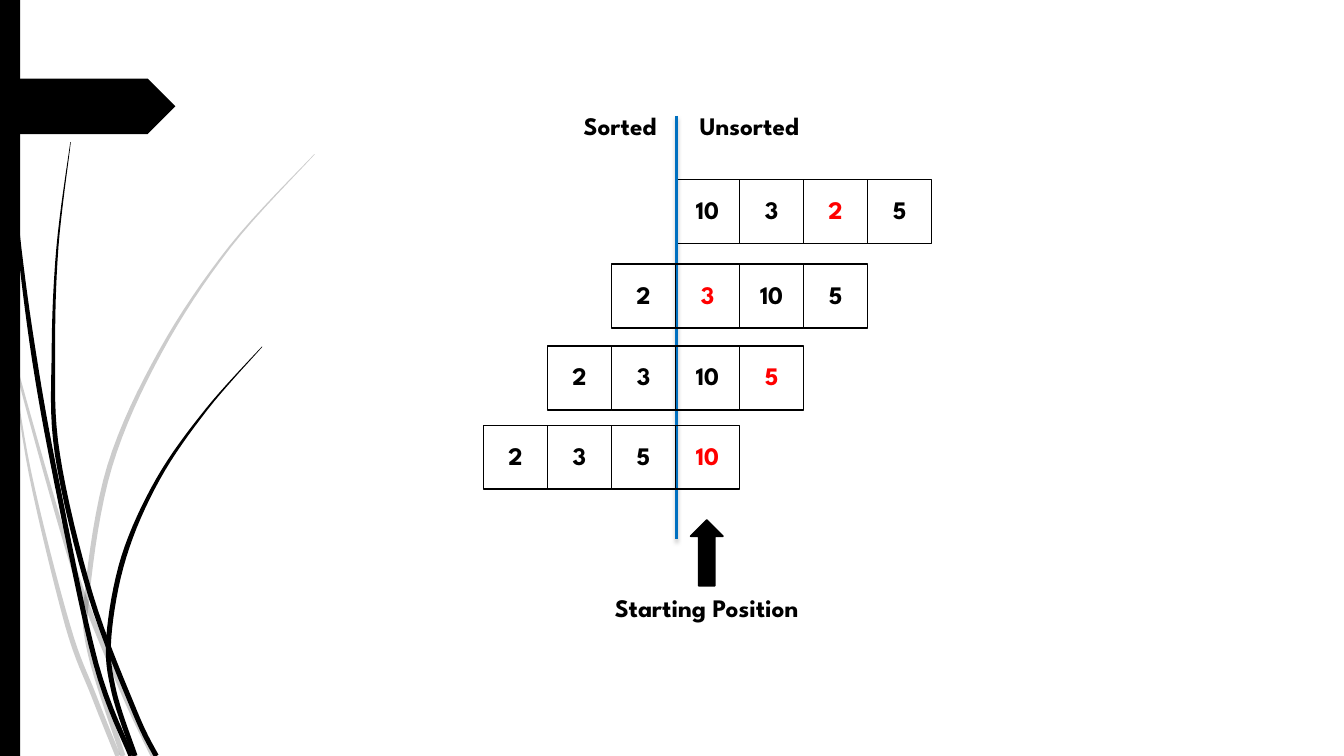
from dataclasses import dataclass
from math import hypot

from lxml import etree
from pptx import Presentation
from pptx.dml.color import RGBColor
from pptx.enum.shapes import MSO_CONNECTOR, MSO_SHAPE
from pptx.enum.text import MSO_AUTO_SIZE, PP_ALIGN
from pptx.oxml.ns import qn
from pptx.util import Inches, Pt

RECTANGLE, PENTAGON, UP_ARROW = MSO_SHAPE.RECTANGLE, MSO_SHAPE.PENTAGON, MSO_SHAPE.UP_ARROW
STRAIGHT = MSO_CONNECTOR.STRAIGHT
LEFT, CENTER = PP_ALIGN.LEFT, PP_ALIGN.CENTER
GROW = MSO_AUTO_SIZE.SHAPE_TO_FIT_TEXT


@dataclass(frozen=True)
class Theme:
    black: RGBColor = RGBColor(0x00, 0x00, 0x00)
    red: RGBColor = RGBColor(0xFF, 0x00, 0x00)
    blue: RGBColor = RGBColor(0x00, 0x70, 0xC0)
    white: RGBColor = RGBColor(0xFF, 0xFF, 0xFF)
    font: str = "League Spartan"
    text_size: int = 18
    outline: float = 1.25
    divider: float = 1.75
    pale_opacity: int = 20


# Wisps: points along the middle of each stroke, thin end first
PALE_WISPS = [
    [(0, 2.9), (0.15, 3.6), (0.6, 5.21), (0.87, 6.02), (1.25, 6.93), (1.52, 7.5)],
    [(0.11, 3.5), (0.3, 4.7), (0.67, 6.2), (0.93, 6.9), (1.17, 7.5)],
    [(3.12, 1.53), (2.28, 2.45), (1.59, 3.49), (1.09, 4.62), (0.87, 5.84), (0.89, 6.46), (1.22, 7.5)],
]
DARK_WISPS = [
    [(0.04, 0), (0.08, 1.1), (0.18, 2.33), (0.34, 3.55), (0.56, 4.77), (0.95, 6.58), (1.3, 7.5)],
    [(0.7, 1.41), (0.57, 2.45), (0.53, 3.49), (0.57, 4.51), (0.9, 5.91), (1.34, 7.07), (1.55, 7.5)],
    [(2.6, 3.44), (2.05, 4.06), (1.57, 4.75), (1.23, 5.52), (1.08, 6.32), (1.13, 6.86), (1.34, 7.5)],
]
WISP_WIDTH = 0.05

# Sorting steps: top of the row, values, index of the red value
STEPS = [(1.78, "10 3 2 5", 2), (2.62, "2 3 10 5", 1), (3.43, "2 3 10 5", 3), (4.22, "2 3 5 10", 3)]
FIRST_LEFT, CELL = 6.7, 0.635


def smooth_curve(knots, steps=8):
    """Sample a smooth curve through the knots."""
    padded = [knots[0], *knots, knots[-1]]
    points = [knots[0]]
    for a, b, c, d in zip(padded, padded[1:], padded[2:], padded[3:]):
        for t in (step / steps for step in range(1, steps + 1)):
            points.append(tuple(
                q + t / 2 * (r - p + t * (2 * p - 5 * q + 4 * r - s + t * (3 * (q - r) + s - p)))
                for p, q, r, s in zip(a, b, c, d)))
    return points


def tapered_outline(knots):
    """Widen a curve steadily up to half its length."""
    points = smooth_curve(knots)
    last = len(points) - 1
    near, far = [], []
    for index, (x, y) in enumerate(points):
        before, after = points[max(index - 1, 0)], points[min(index + 1, last)]
        dx, dy = after[0] - before[0], after[1] - before[1]
        half = WISP_WIDTH / 2 * min(1, 0.1 + 1.8 * index / last) / hypot(dx, dy)
        near.append((x - dy * half, y + dx * half))
        far.append((x + dy * half, y - dx * half))
    return near + far[::-1]


class SlideBuilder:
    def __init__(self, slide, theme):
        self.slide, self.theme = slide, theme

    def group(self):
        return self.slide.shapes.add_group_shape().shapes

    def paint(self, shape, fill=None, line=None):
        shape.shadow.inherit = False
        if fill is None:
            shape.fill.background()
        else:
            shape.fill.solid()
            shape.fill.fore_color.rgb = fill
        if line is None:
            shape.line.fill.background()
        else:
            shape.line.color.rgb = line
            shape.line.width = Pt(self.theme.outline)

    def preset(self, kind, box, fill=None, line=None, shapes=None):
        shape = (shapes or self.slide.shapes).add_shape(kind, *map(Inches, box))
        self.paint(shape, fill, line)

    def wisp(self, knots, opacity, shapes):
        points = [(Inches(x), Inches(y)) for x, y in tapered_outline(knots)]
        builder = shapes.build_freeform(*points[0])
        builder.add_line_segments(points[1:], close=True)
        shape = builder.convert_to_shape()
        self.paint(shape, self.theme.black)
        if opacity is not None:
            color = shape._element.spPr.find(qn("a:solidFill"))[0]
            etree.SubElement(color, qn("a:alpha"), val=str(opacity * 1000))

    def text(self, words, box, color=None, align=LEFT, shapes=None):
        frame = (shapes or self.slide.shapes).add_textbox(*map(Inches, box)).text_frame
        frame.word_wrap, frame.auto_size = True, GROW
        paragraph = frame.paragraphs[0]
        paragraph.alignment = align
        run = paragraph.add_run()
        run.text = words
        run.font.name, run.font.size = self.theme.font, Pt(self.theme.text_size)
        run.font.bold, run.font.color.rgb = True, color or self.theme.black

    def divider(self, x, top, bottom):
        line = self.slide.shapes.add_connector(STRAIGHT, *map(Inches, (x, top, x, bottom)))
        line.line.color.rgb, line.line.width = self.theme.blue, Pt(self.theme.divider)
        effects = etree.SubElement(line._element.spPr, qn("a:effectLst"))
        shadow = etree.SubElement(effects, qn("a:outerShdw"), blurRad=str(int(Pt(3))),
                                  dist=str(int(Pt(2))), dir="5400000", rotWithShape="0")
        color = etree.SubElement(shadow, qn("a:srgbClr"), val=str(self.theme.black))
        etree.SubElement(color, qn("a:alpha"), val="25000")

    def step(self, index):
        top, values, marked = STEPS[index]
        values = values.split()
        shapes = self.group()
        lefts = [FIRST_LEFT + (column - index) * CELL for column in range(len(values))]
        for left in lefts:
            self.preset(RECTANGLE, (left, top, CELL, CELL), line=self.theme.black, shapes=shapes)
        for column, (left, value) in enumerate(zip(lefts, values)):
            color = self.theme.red if column == marked else self.theme.black
            self.text(value, (left, top + 0.1, CELL, 0.4), color, CENTER, shapes)


def main():
    presentation = Presentation()
    presentation.slide_width, presentation.slide_height = Inches(13.33), Inches(7.5)
    theme = Theme()
    slide = presentation.slides.add_slide(presentation.slide_layouts[6])
    slide.background.fill.solid()
    slide.background.fill.fore_color.rgb = theme.white
    builder = SlideBuilder(slide, theme)

    # Decoration on the left
    for wisps, opacity in ((PALE_WISPS, theme.pale_opacity), (DARK_WISPS, None)):
        shapes = builder.group()
        for knots in wisps:
            builder.wisp(knots, opacity, shapes)
    builder.preset(RECTANGLE, (0, 0, 0.2, 7.5), theme.black)
    builder.preset(PENTAGON, (0, 0.78, 1.74, 0.55), theme.black)

    # Sorting steps around the divider
    builder.step(0)
    builder.divider(6.71, 1.15, 5.35)
    builder.text("Sorted", (5.69, 1.05, 1.02, 0.4))
    builder.text("Unsorted", (6.84, 1.05, 1.59, 0.4))
    for index in range(1, len(STEPS)):
        builder.step(index)

    # Starting position
    builder.preset(UP_ARROW, (6.85, 5.16, 0.32, 0.65), theme.black, theme.black)
    builder.text("Starting Position", (5.64, 5.83, 2.74, 0.4), align=CENTER)

    presentation.save("out.pptx")


if __name__ == "__main__":
    main()
